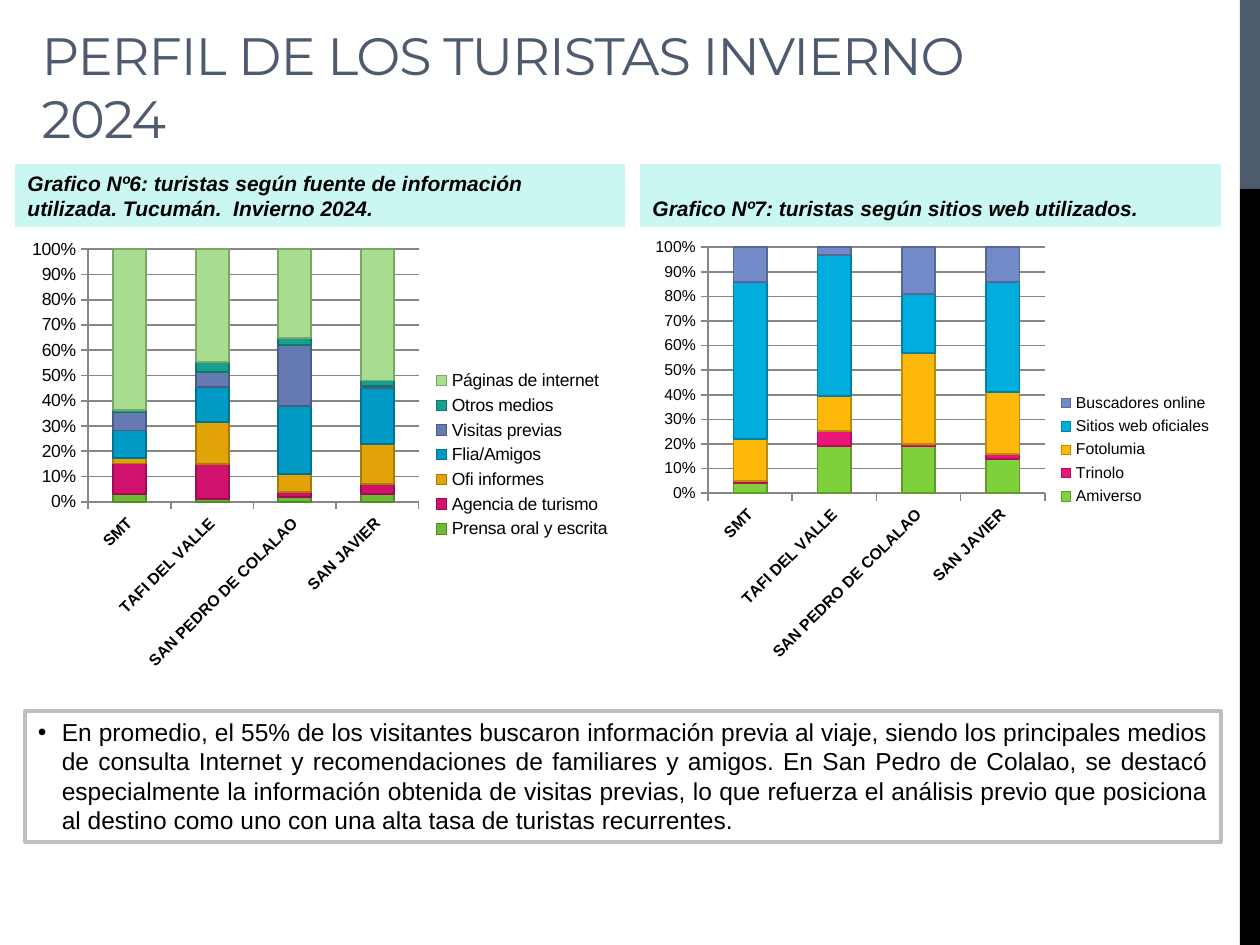
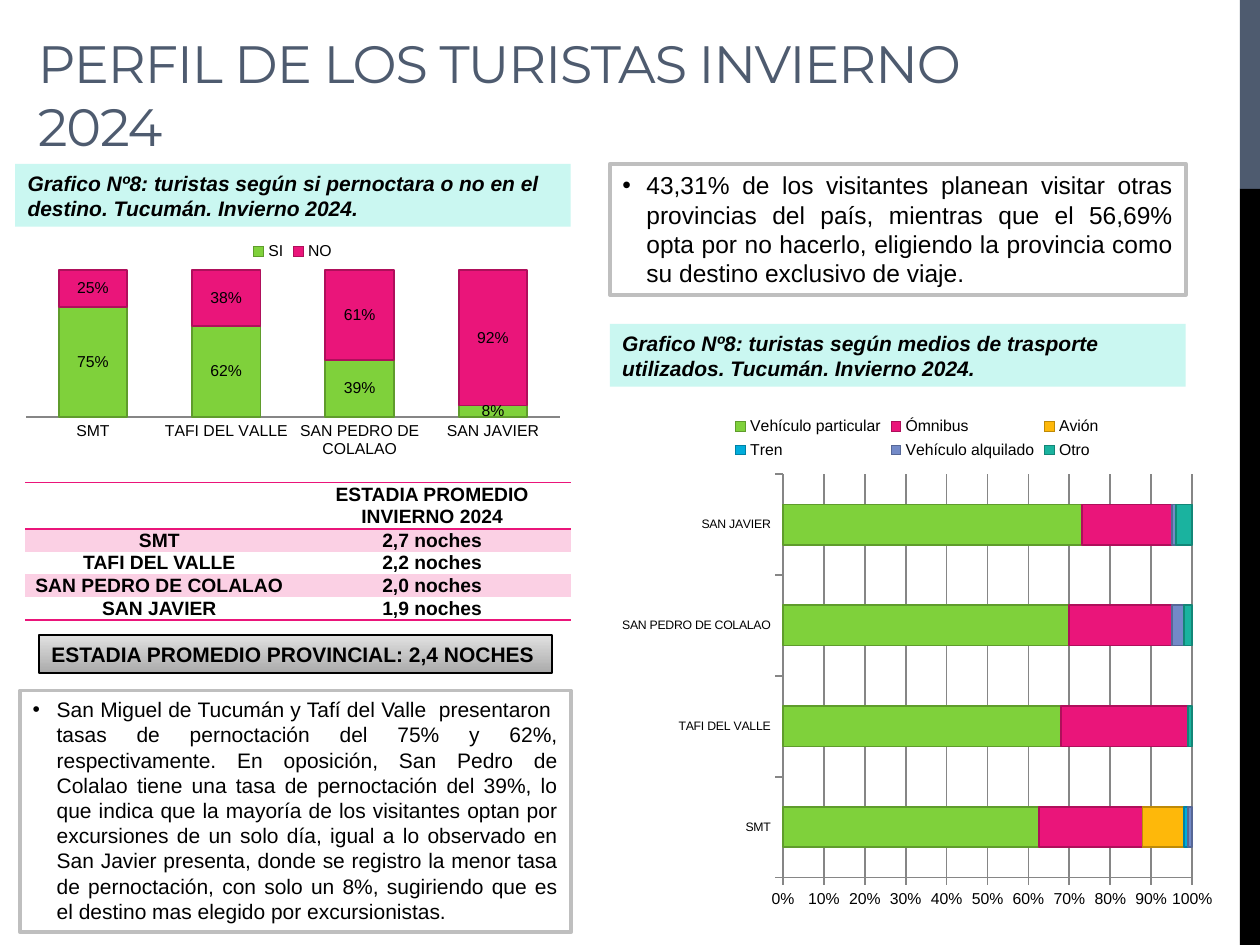
"""Builds two slides on the profile of winter 2024 tourists in Tucumán."""
from lxml import etree
from pptx import Presentation
from pptx.chart.data import CategoryChartData
from pptx.dml.color import RGBColor
from pptx.enum.chart import XL_CHART_TYPE as CT, XL_LEGEND_POSITION as LP, XL_TICK_MARK as TM
from pptx.enum.shapes import MSO_SHAPE
from pptx.enum.text import MSO_ANCHOR, MSO_AUTO_SIZE, PP_ALIGN
from pptx.oxml.ns import qn
from pptx.util import Inches, Pt

INK, SLATE, MINT, FRAME, GRID = "000000", "4E5B6F", "CAF7F1", "BFBFBF", "868686"
GREEN, PINK, AMBER, BLUE, VIOLET, TEAL = "7FD13B", "EA157A", "FEB80A", "00ADDC", "738AC8", "1AB39F"
ACCENTS = [GREEN, PINK, AMBER, BLUE, VIOLET, TEAL]
DEEP = ["70B934", "D0126C", "E2A309", "009AC4", "667AB2", "179F8D", "A7DD8E"]
PALE_PINK = "FBD0E4"
PLACES = ["SMT", "TAFI DEL VALLE", "SAN PEDRO DE COLALAO", "SAN JAVIER"]
NO_STYLE = "{2D5ABB26-0587-4C30-8999-92F81FD0307C}"


def paint(fill, color):
    """Gives a fill a solid colour from a hex string."""
    fill.solid()
    fill.fore_color.rgb = RGBColor.from_string(color)


def write(tf, text, color=INK, align=PP_ALIGN.LEFT, bullet=False, **fmt):
    """Writes one formatted paragraph and returns it."""
    tf.word_wrap = True
    p = tf.paragraphs[0]
    r = p.add_run()
    r.text = text
    if bullet:
        pPr = p._p.get_or_add_pPr()
        pPr.set("marL", str(Inches(0.19)))
        pPr.set("indent", str(-Inches(0.19)))
        etree.SubElement(pPr, qn("a:buChar")).set("char", "•")
    p.alignment = align
    p.space_before = Pt(0)
    for name, value in {"name": "Arial", **fmt}.items():
        setattr(r.font, name, value)
    paint(r.font.fill, color)
    return p


prs = Presentation()
prs.slide_width, prs.slide_height = Inches(10), Inches(7.5)
sources = prs.slides.add_slide(prs.slide_layouts[1])
stays = prs.slides.add_slide(prs.slide_layouts[3])

for top, height, color in [(0, 1.5, SLATE), (1.5, 6, INK)]:
    sp = sources.shapes.add_shape(MSO_SHAPE.RECTANGLE, Inches(9.84), Inches(top), Inches(0.16), Inches(height))
    sp.shadow.inherit = False
    paint(sp.fill, color)
    sp.line.fill.background()
    prs.slide_master.shapes.element.append(sp.element)

for s, box in [(sources, (0.23, -0.02, 7.8, 1.25)), (stays, (0.2, 0.08, 7.8, 1.22))]:
    sp = s.shapes.title
    sp.left, sp.top, sp.width, sp.height = map(Inches, box)
    tf = sp.text_frame
    tf.auto_size = MSO_AUTO_SIZE.NONE
    tf.vertical_anchor = MSO_ANCHOR.BOTTOM
    p = write(tf, "PERFIL DE LOS TURISTAS INVIERNO 2024", SLATE, name="Montserrat", size=Pt(30))
    p.runs[0].font._element.set("spc", "-60")

captions = [
    (sources, (0.12, 1.3, 4.84, 0.5),
     "Grafico Nº6: turistas según fuente de información utilizada. Tucumán.  Invierno 2024."),
    (sources, (5.08, 1.3, 4.61, 0.5), "Grafico Nº7: turistas según sitios web utilizados."),
    (stays, (0.12, 1.3, 4.41, 0.5),
     "Grafico Nº8: turistas según si pernoctara o no en el destino. Tucumán. Invierno 2024."),
    (stays, (4.84, 2.57, 4.57, 0.5),
     "Grafico Nº8: turistas según medios de trasporte utilizados. Tucumán. Invierno 2024."),
]
for s, box, text in captions:
    sp = s.shapes.add_shape(MSO_SHAPE.RECTANGLE, *map(Inches, box))
    sp.shadow.inherit = False
    paint(sp.fill, MINT)
    sp.line.fill.background()
    sp.text_frame.vertical_anchor = MSO_ANCHOR.BOTTOM
    write(sp.text_frame, text, size=Pt(12), bold=True, italic=True)

findings = [
    (sources, 1, (0.2, 5.64, 9.49, 1.04), 14,
     "En promedio, el 55% de los visitantes buscaron información previa al viaje, siendo los "
     "principales medios de consulta Internet y recomendaciones de familiares y amigos. En San Pedro "
     "de Colalao, se destacó especialmente la información obtenida de visitas previas, lo que refuerza "
     "el análisis previo que posiciona al destino como uno con una alta tasa de turistas recurrentes."),
    (stays, 1, (0.16, 5.48, 4.37, 1.92), 12,
     "San Miguel de Tucumán y Tafí del Valle  presentaron  tasas de pernoctación del 75% y 62%, "
     "respectivamente. En oposición, San Pedro de Colalao tiene una tasa de pernoctación del 39%, lo "
     "que indica que la mayoría de los visitantes optan por excursiones de un solo día, igual a lo "
     "observado en San Javier presenta, donde se registro la menor tasa de pernoctación, con solo un "
     "8%, sugiriendo que es el destino mas elegido por excursionistas."),
    (stays, 2, (4.84, 1.3, 4.57, 1.04), 14,
     "43,31% de los visitantes planean visitar otras provincias del país, mientras que el 56,69% opta "
     "por no hacerlo, eligiendo la provincia como su destino exclusivo de viaje."),
]
for s, idx, box, size, text in findings:
    sp = s.placeholders[idx]
    sp.left, sp.top, sp.width, sp.height = map(Inches, box)
    paint(sp.fill, "FFFFFF")
    paint(sp.line.fill, FRAME)
    sp.line.width = Pt(2.25)
    sp.text_frame.auto_size = MSO_AUTO_SIZE.NONE
    write(sp.text_frame, text, align=PP_ALIGN.JUSTIFY, bullet=True, size=Pt(size))

charts = [
    dict(slide=sources, box=(0.16, 1.83, 4.79, 3.56), kind=CT.COLUMN_STACKED_100, size=10, cat_size=9,
         slanted=True, legend=LP.RIGHT, gap=150, colors=DEEP, series={
             "Prensa oral y escrita": (3, 1, 2, 3),
             "Agencia de turismo": (12, 14, 2, 4),
             "Ofi informes": (2, 17, 7, 16),
             "Flia/Amigos": (11, 14, 27, 22),
             "Visitas previas": (7, 6, 24, 1),
             "Otros medios": (1, 4, 3, 2),
             "Páginas de internet": (63, 45, 35, 52)}),
    dict(slide=sources, box=(5.11, 1.82, 4.61, 3.5), kind=CT.COLUMN_STACKED_100, size=9, cat_size=9,
         slanted=True, legend=LP.RIGHT, gap=150, colors=ACCENTS, series={
             "Amiverso": (4, 19, 19, 14),
             "Trinolo": (1, 6, 1, 2),
             "Fotolumia": (17, 14, 37, 25),
             "Sitios web oficiales": (64, 57, 24, 45),
             "Buscadores online": (14, 3, 19, 14)}),
    dict(slide=stays, box=(0.12, 1.81, 4.41, 1.87), kind=CT.COLUMN_STACKED_100, size=9, cat_size=9,
         labels=True, legend=LP.TOP, gap=95, colors=ACCENTS, series={
             "SI": (0.75, 0.62, 0.39, 0.08),
             "NO": (0.25, 0.38, 0.61, 0.92)}),
    dict(slide=stays, box=(4.84, 3.2, 4.88, 4.09), kind=CT.BAR_STACKED_100, size=9, cat_size=7,
         legend=LP.TOP, gap=150, colors=ACCENTS, series={
             "Vehículo particular": (62, 68, 70, 73),
             "Ómnibus": (25, 31, 25, 22),
             "Avión": (10, 0, 0, 0),
             "Tren": (1, 0, 0, 0),
             "Vehículo alquilado": (1, 0, 3, 1),
             "Otro": (0, 1, 2, 4)}),
]
for c in charts:
    labels, slanted = c.get("labels", False), c.get("slanted", False)
    data = CategoryChartData(number_format="0%" if labels else "General")
    data.categories = PLACES
    for name, values in c["series"].items():
        data.add_series(name, values)
    chart = c["slide"].shapes.add_chart(c["kind"], *map(Inches, c["box"]), data).chart
    chart.has_title = False
    chart.font.name, chart.font.size = "Arial", Pt(c["size"])
    paint(chart.font.fill, INK)
    chart.has_legend = True
    chart.legend.position = c["legend"]
    chart.legend.include_in_layout = False

    cat, val = chart.category_axis, chart.value_axis
    val.visible = not labels
    val.has_major_gridlines = not labels
    lines = [cat.format.line, val.format.line]
    if not labels:
        lines.append(val.major_gridlines.format.line)
    for line in lines:
        paint(line.fill, GRID)
        line.width = Pt(1)
    for axis in (cat, val):
        axis.major_tick_mark = TM.NONE if labels else TM.OUTSIDE
        axis.minor_tick_mark = TM.NONE
    cat.tick_labels.font.size = Pt(c["cat_size"])
    cat.tick_labels.font.bold = slanted
    if slanted:
        cat._element.find(qn("c:txPr")).find(qn("a:bodyPr")).set("rot", "-2700000")
    val.tick_labels.number_format = "0%"
    val.tick_labels.number_format_is_linked = False

    plot = chart.plots[0]
    plot.gap_width, plot.overlap, plot.vary_by_categories = c["gap"], 100, False
    for series, color in zip(plot.series, c["colors"]):
        paint(series.format.fill, color)
        edge = "".join(f"{int(color[i:i + 2], 16) * 3 // 4:02X}" for i in (0, 2, 4))
        paint(series.format.line.fill, edge)
        series.format.line.width = Pt(1)
    if labels:
        plot.has_data_labels = True
        plot.data_labels.show_value = True
        plot.data_labels.number_format = "0%"
        plot.data_labels.number_format_is_linked = False

rows = [("", "ESTADIA PROMEDIO INVIERNO 2024"),
        *zip(PLACES, ["2,7 noches", "2,2 noches", "2,0 noches", "1,9 noches"])]
frame = stays.shapes.add_table(5, 2, Inches(0.2), Inches(3.83), Inches(4.33), Inches(1.1))
frame.element.find(".//" + qn("a:tableStyleId")).text = NO_STYLE
table = frame.table
table.first_row = table.horz_banding = False
for col, width in zip(table.columns, (2.13, 2.2)):
    col.width = Inches(width)
for i, row in enumerate(rows):
    table.rows[i].height = Inches(0.18 if i else 0.37)
    for j, text in enumerate(row):
        cell = table.cell(i, j)
        for side in ("left", "right", "top", "bottom"):
            setattr(cell, f"margin_{side}", 0)
        cell.vertical_anchor = MSO_ANCHOR.MIDDLE
        write(cell.text_frame, text, align=PP_ALIGN.CENTER, size=Pt(11), bold=True)
        tcPr = cell._tc.get_or_add_tcPr()
        for tag in {0: ("a:lnT", "a:lnB"), 4: ("a:lnB",)}.get(i, ()):
            ln = etree.SubElement(tcPr, qn(tag), w=str(Pt(1)))
            etree.SubElement(etree.SubElement(ln, qn("a:solidFill")), qn("a:srgbClr"), val=PINK)
        if i % 2:
            paint(cell.fill, PALE_PINK)
        else:
            cell.fill.background()

sp = stays.shapes.add_shape(MSO_SHAPE.RECTANGLE, Inches(0.31), Inches(5.04), Inches(4.07), Inches(0.3))
sp.shadow.inherit = False
sp.fill.gradient()
sp.fill.gradient_angle = 90
for stop, color in zip(sp.fill.gradient_stops, ("ABABAB", "E1E1E1")):
    stop.color.rgb = RGBColor.from_string(color)
paint(sp.line.fill, INK)
sp.line.width = Pt(1)
write(sp.text_frame, "ESTADIA PROMEDIO PROVINCIAL: 2,4 NOCHES", size=Pt(12), bold=True)

prs.save("out.pptx")
